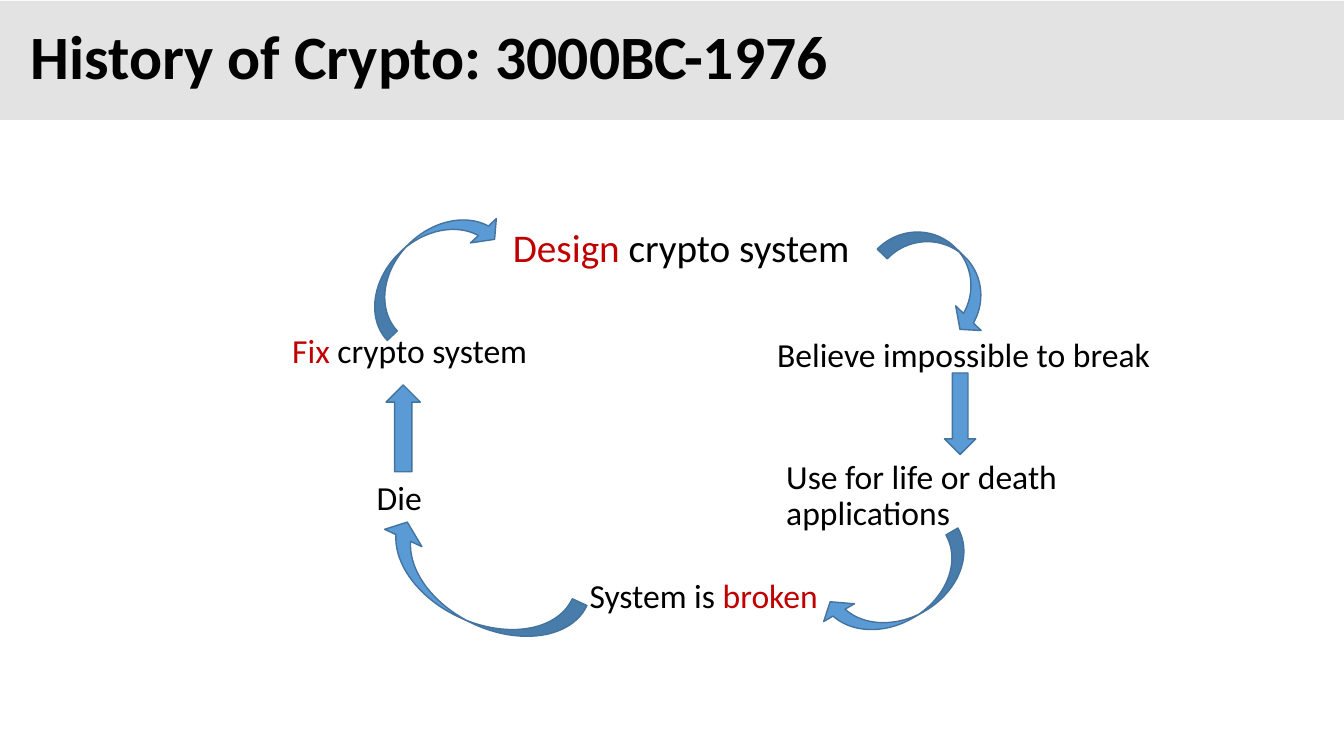
"""Build the slide on the design-and-break cycle in the history of cryptography."""
from lxml import etree
from pptx import Presentation
from pptx.dml.color import RGBColor
from pptx.enum import shapes as s, text as t
from pptx.oxml import ns
from pptx.util import Pt

BLACK, RED = "000000", "C00000"


def paint(target, color):
    target.solid()
    target.fore_color.rgb = RGBColor.from_string(color)


def write(left, top, width, height, size, runs, bold=False, anchor=t.MSO_ANCHOR.TOP):
    frame = slide.shapes.add_textbox(Pt(left), Pt(top), Pt(width), Pt(height)).text_frame
    frame.word_wrap = True
    frame.vertical_anchor = anchor
    line = frame.paragraphs[0]
    line.line_spacing = 0.9
    line.font.name, line.font.size, line.font.bold = "Calibri", Pt(size), bold
    for words, color in runs:
        run = line.add_run()
        run.text = words
        paint(run.font.fill, color)


deck = Presentation()
deck.slide_width, deck.slide_height = Pt(960), Pt(540)
slide = deck.slides.add_slide(deck.slide_layouts[6])

banner = slide.shapes.add_shape(s.MSO_SHAPE.RECTANGLE, Pt(0), Pt(0.7), Pt(960), Pt(85))
banner.shadow.inherit = False
banner.line.fill.background()
paint(banner.fill, "BFBFBF")
tint = banner.fill._xPr.find(".//" + ns.qn("a:srgbClr"))
etree.SubElement(tint, ns.qn("a:alpha"), val="43000")

write(15, 0, 945, 85.7, 44, [("History of Crypto: 3000BC-1976", BLACK)], True, t.MSO_ANCHOR.MIDDLE)

stages = [
    (359.3, 160, 292, 64, 28, [("Design", RED), (" crypto system", BLACK)]),
    (548, 238.3, 292, 64, 24, [("Believe impossible to break", BLACK)]),
    (554.5, 325.5, 301, 75.6, 24, [("Use for life or death applications", BLACK)]),
    (414, 410.4, 212.4, 51, 24, [("System is ", BLACK), ("broken", RED)]),
    (262, 340.5, 101, 46, 24, [("Die", BLACK)]),
    (201.6, 235.5, 226, 46, 24, [("Fix", RED), (" crypto system", BLACK)]),
]
for stage in stages:
    write(*stage)

CURVED, STRAIGHT = s.MSO_SHAPE.CURVED_DOWN_ARROW, s.MSO_SHAPE.UP_ARROW
arrows = [
    (CURVED, 627, 177, 95, 39.6, 44.1),
    (CURVED, 584, 404, 118, 39.6, 150),
    (CURVED, 260.6, 397.5, 156.2, 46, 204.9),
    (STRAIGHT, 275.8, 275, 24.5, 62, 0),
    (STRAIGHT, 674.6, 266.4, 22.4, 58.3, 180),
    (CURVED, 247, 168.5, 118, 39.6, 316.7),
]
for kind, left, top, width, height, angle in arrows:
    arrow = slide.shapes.add_shape(kind, Pt(left), Pt(top), Pt(width), Pt(height))
    arrow.shadow.inherit = False
    arrow.rotation = angle
    paint(arrow.fill, "5B9BD5")
    paint(arrow.line.fill, "43739E")
    arrow.line.width = Pt(1)
    if kind == CURVED:
        arrow.adjustments[1] = 0.64

deck.save("out.pptx")
